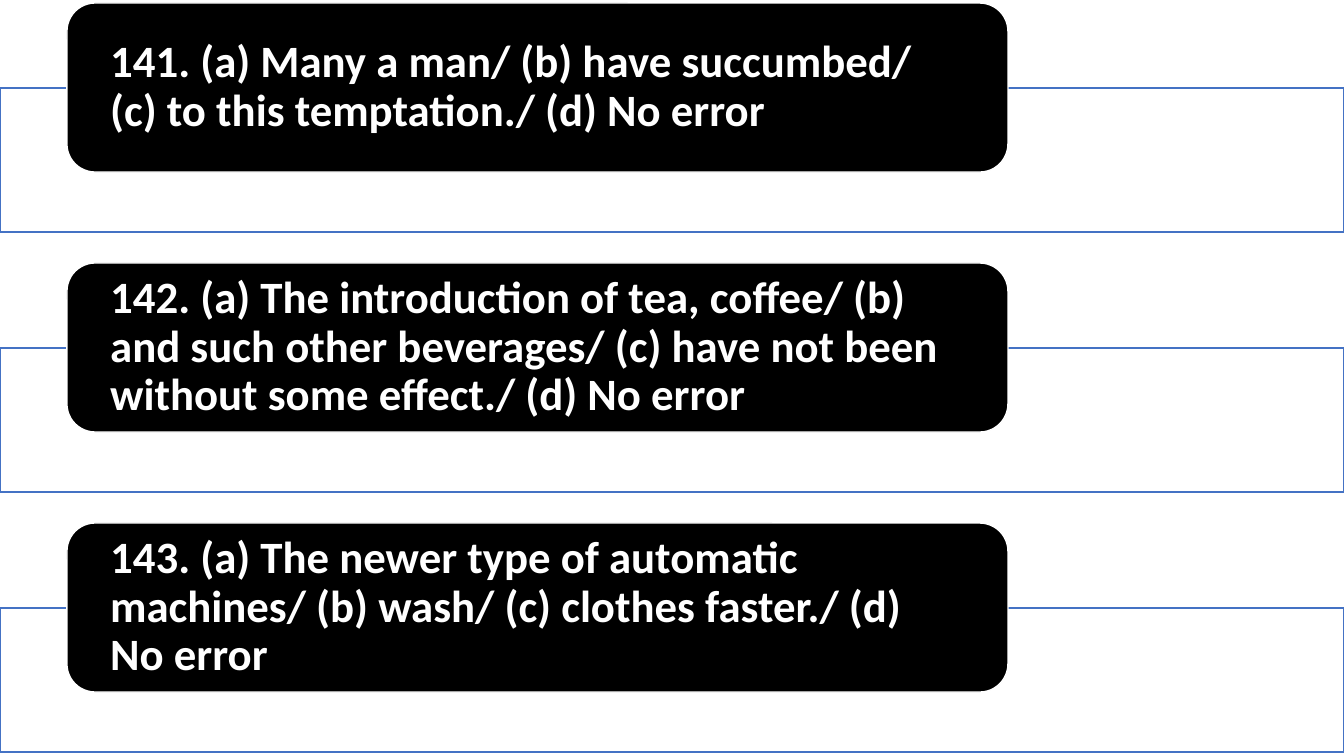
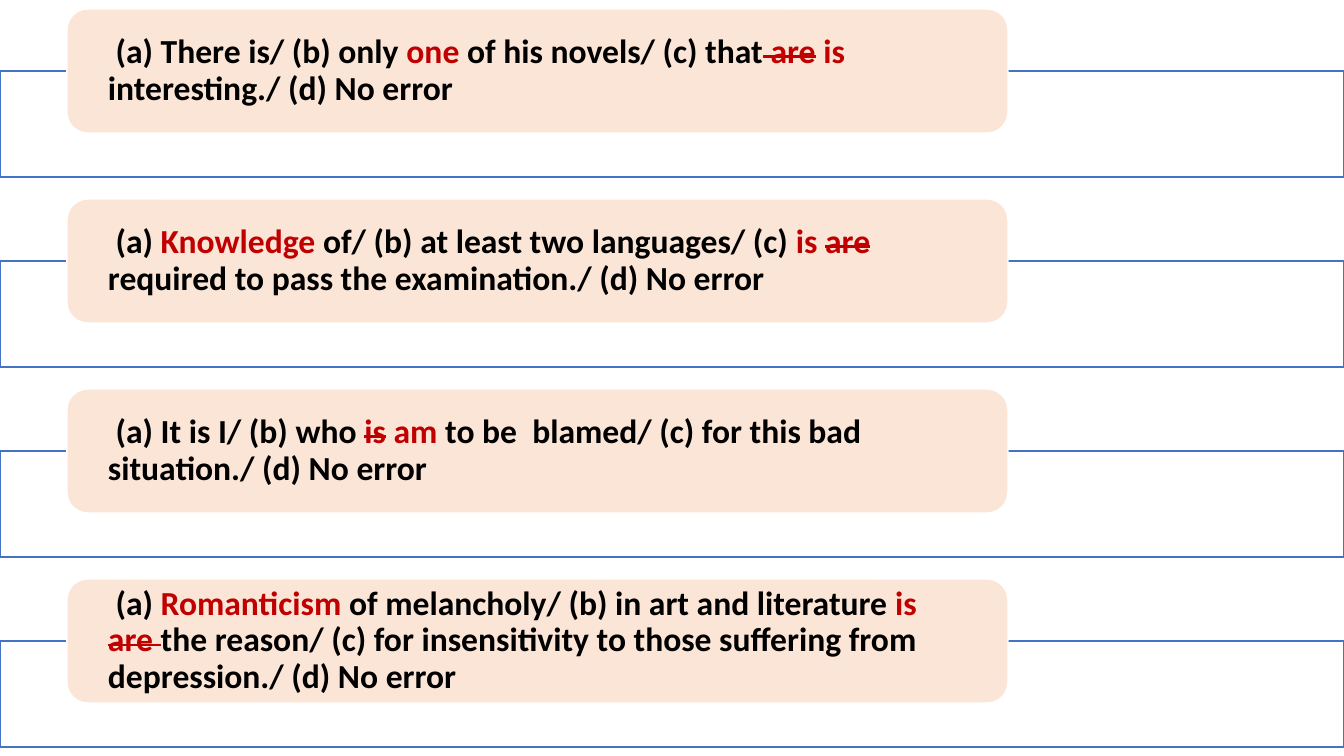
from dataclasses import dataclass
from typing import NamedTuple

from pptx import Presentation
from pptx.dml.color import RGBColor
from pptx.enum.shapes import MSO_SHAPE as Shape
from pptx.enum.text import MSO_ANCHOR as Anchor, PP_ALIGN as Align
from pptx.util import Pt

EMU_PER_INCH = 914400
PX_PER_INCH = 100.8
PAGE_WIDTH, PAGE_HEIGHT = 1344, 756
CARD_LEFT, CARD_WIDTH = 67, 941
CARD_INSET = 35

FONT = "Calibri"
BLACK = RGBColor(0x00, 0x00, 0x00)
WHITE = RGBColor(0xFF, 0xFF, 0xFF)
BLUE = RGBColor(0x44, 0x72, 0xC4)
PEACH = RGBColor(0xFB, 0xE5, 0xD6)
RED = RGBColor(0xC0, 0x00, 0x00)


class Part(NamedTuple):
    text: str
    marked: bool = False
    struck: bool = False


@dataclass(frozen=True)
class CardStyle:
    card_top: int
    card_height: int
    frame_top: int
    frame_height: int
    pitch: int
    fill: RGBColor
    ink: RGBColor
    size: int


@dataclass(frozen=True)
class QuestionPage:
    style: CardStyle
    questions: list[list[Part]]


QUESTION_STYLE = CardStyle(3, 169, 88, 144, 260, BLACK, WHITE, 32)
ANSWER_STYLE = CardStyle(9, 124, 71, 106, 190, PEACH, BLACK, 24)

PAGES = [
    QuestionPage(QUESTION_STYLE, [
        [Part("141. (a) Many a man/ (b) have succumbed/ (c) to this temptation./ (d) No error")],
        [Part("142. (a) The introduction of tea, coffee/ (b) and such other beverages/ "
              "(c) have not been without some effect./ (d) No error")],
        [Part("143. (a) The newer type of automatic machines/ (b) wash/ "
              "(c) clothes faster./ (d) No error")],
    ]),
    QuestionPage(ANSWER_STYLE, [
        [
            Part(" (a) There is/ (b) only "),
            Part("one", marked=True),
            Part(" of his novels/ (c) that"),
            Part(" are", marked=True, struck=True),
            Part(" is ", marked=True),
            Part("interesting./ (d) No error"),
        ],
        [
            Part(" (a) "),
            Part("Knowledge", marked=True),
            Part(" of/ (b) at least two languages/ (c) "),
            Part("is ", marked=True),
            Part("are ", marked=True, struck=True),
            Part("required to pass the examination./ (d) No error"),
        ],
        [
            Part(" (a) It is I/ (b) who "),
            Part("is", marked=True, struck=True),
            Part(" "),
            Part("am", marked=True),
            Part(" to be  blamed/ (c) for this bad situation./ (d) No error"),
        ],
        [
            Part(" (a)"),
            Part(" Romanticism ", marked=True),
            Part("of melancholy/ (b) in art and literature "),
            Part("is ", marked=True),
            Part("are ", marked=True, struck=True),
            Part("the reason/ (c) for insensitivity to those suffering from depression./ "
                 "(d) No error"),
        ],
    ]),
]


def px(length: int) -> int:
    return round(length * EMU_PER_INCH / PX_PER_INCH)


def add_box(page, kind: Shape, left: int, top: int, width: int, height: int,
            *, fill: RGBColor, line: RGBColor):
    box = page.shapes.add_shape(kind, px(left), px(top), px(width), px(height))
    box.shadow.inherit = False
    box.fill.solid()
    box.fill.fore_color.rgb = fill
    box.line.color.rgb = line
    box.line.width = Pt(1)
    return box


def add_text(para, text: str, *, size: int, color: RGBColor,
             bold: bool = True, struck: bool = False) -> None:
    span = para.add_run()
    span.text = text
    span.font.name = FONT
    span.font.size = Pt(size)
    span.font.bold = bold
    span.font.color.rgb = color
    if struck:
        span.font._element.set("strike", "sngStrike")


def add_question(page, style: CardStyle, row: int, parts: list[Part]) -> None:
    offset = row * style.pitch
    add_box(page, Shape.RECTANGLE, 0, style.frame_top + offset, PAGE_WIDTH,
            style.frame_height, fill=WHITE, line=BLUE)
    card = add_box(page, Shape.ROUNDED_RECTANGLE, CARD_LEFT, style.card_top + offset,
                   CARD_WIDTH, style.card_height, fill=style.fill, line=WHITE)
    frame = card.text_frame
    frame.word_wrap = True
    frame.vertical_anchor = Anchor.MIDDLE
    frame.margin_left = frame.margin_right = px(CARD_INSET)
    frame.margin_top = frame.margin_bottom = 0
    para = frame.paragraphs[0]
    para.alignment = Align.LEFT
    para.line_spacing = 0.9
    for part in parts:
        add_text(para, part.text, size=style.size,
                 color=RED if part.marked else style.ink, struck=part.struck)


def main() -> None:
    deck = Presentation()
    deck.slide_width = px(PAGE_WIDTH)
    deck.slide_height = px(PAGE_HEIGHT)
    blank = deck.slide_layouts[6]
    for content in PAGES:
        page = deck.slides.add_slide(blank)
        for row, parts in enumerate(content.questions):
            add_question(page, content.style, row, parts)
    deck.save("out.pptx")


if __name__ == "__main__":
    main()
